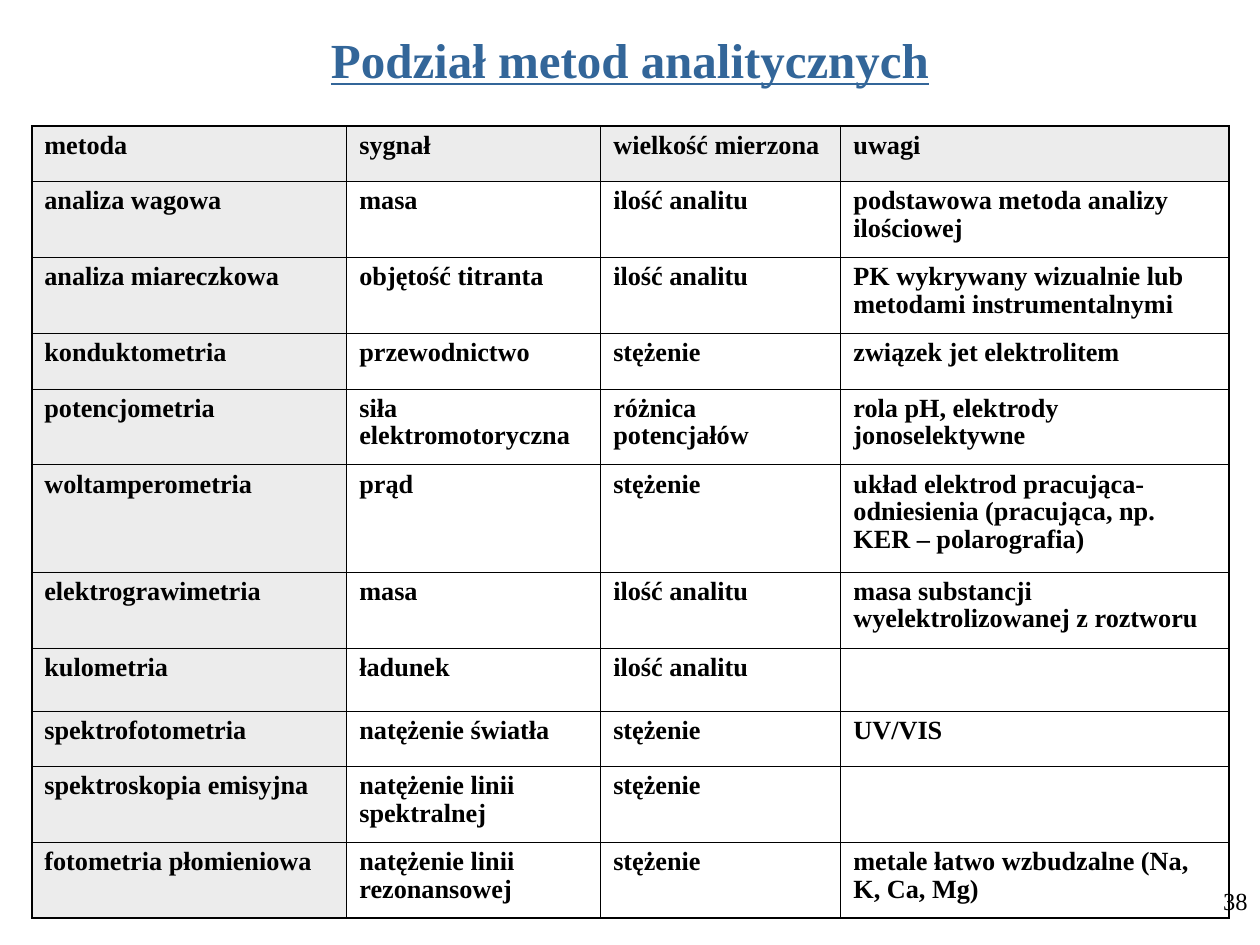
from lxml import etree
from pptx import Presentation
from pptx.dml.color import RGBColor
from pptx.enum.text import MSO_ANCHOR, PP_ALIGN
from pptx.oxml.ns import qn
from pptx.util import Cm, Pt

LEFT, CENTER, RIGHT = PP_ALIGN.LEFT, PP_ALIGN.CENTER, PP_ALIGN.RIGHT
TOP, MIDDLE = MSO_ANCHOR.TOP, MSO_ANCHOR.MIDDLE

COLUMN_WIDTHS = [6.35, 5.12, 4.84, 7.82]
ONE_LINE, TALL_LINE, TWO_LINES, THREE_LINES = 1.12, 1.27, 1.53, 2.16
METHODS = [
    (ONE_LINE, "metoda", "sygnał", "wielkość mierzona", "uwagi"),
    (TWO_LINES, "analiza wagowa", "masa", "ilość analitu",
     "podstawowa metoda analizy ilościowej"),
    (TWO_LINES, "analiza miareczkowa", "objętość titranta", "ilość analitu",
     "PK wykrywany wizualnie lub metodami instrumentalnymi"),
    (ONE_LINE, "konduktometria", "przewodnictwo", "stężenie",
     "związek jet elektrolitem"),
    (TWO_LINES, "potencjometria", "siła elektromotoryczna", "różnica potencjałów",
     "rola pH, elektrody jonoselektywne"),
    (THREE_LINES, "woltamperometria", "prąd", "stężenie",
     "układ elektrod pracująca-odniesienia (pracująca, np. KER – polarografia)"),
    (TWO_LINES, "elektrograwimetria", "masa", "ilość analitu",
     "masa substancji wyelektrolizowanej z roztworu"),
    (TALL_LINE, "kulometria", "ładunek", "ilość analitu", ""),
    (ONE_LINE, "spektrofotometria", "natężenie światła", "stężenie", "UV/VIS"),
    (TWO_LINES, "spektroskopia emisyjna", "natężenie linii spektralnej", "stężenie", ""),
    (TWO_LINES, "fotometria płomieniowa", "natężenie linii rezonansowej", "stężenie",
     "metale łatwo wzbudzalne (Na, K, Ca, Mg)"),
]


def color(value):
    return RGBColor.from_string(value)


class SlideBuilder:
    font_name = "Times New Roman"
    ink = "000000"
    title_color = "336699"
    header_color = "808080"
    header_alpha = 15
    inner_line, outer_line = 0.45, 1.08

    def __init__(self, slide):
        self.slide = slide

    def add_styled_run(self, paragraph, text, size, text_color, bold=False, underline=False):
        run = paragraph.add_run()
        run.text = text
        font = run.font
        font.name = self.font_name
        font.size = Pt(size)
        font.bold = bold
        font.underline = underline
        font.color.rgb = color(text_color)

    def add_text_box(self, left, top, width, height, text, size, text_color,
                     align=LEFT, anchor=TOP, **style):
        box = self.slide.shapes.add_textbox(Cm(left), Cm(top), Cm(width), Cm(height))
        frame = box.text_frame
        frame.word_wrap = True
        frame.vertical_anchor = anchor
        paragraph = frame.paragraphs[0]
        paragraph.alignment = align
        self.add_styled_run(paragraph, text, size, text_color, **style)

    def shade(self, cell):
        """Fill a heading cell with a mostly transparent grey."""
        cell.fill.solid()
        cell.fill.fore_color.rgb = color(self.header_color)
        fill_color = cell._tc.tcPr.find(".//" + qn("a:srgbClr"))
        etree.SubElement(fill_color, qn("a:alpha"), val=str(self.header_alpha * 1000))

    def draw_borders(self, cell, outer_sides):
        """Draw the four edges, heavier where they lie on the table outline."""
        properties = cell._tc.get_or_add_tcPr()
        for index, side in enumerate("LRTB"):
            width = self.outer_line if side in outer_sides else self.inner_line
            line = etree.Element(qn("a:ln" + side), w=str(int(Pt(width))))
            fill = etree.SubElement(line, qn("a:solidFill"))
            etree.SubElement(fill, qn("a:srgbClr"), val=self.ink)
            properties.insert(index, line)

    def add_grid(self, left, top, widths, rows, size):
        heights = [row[0] for row in rows]
        frame = self.slide.shapes.add_table(
            len(rows), len(widths), Cm(left), Cm(top), Cm(sum(widths)), Cm(sum(heights)))
        table = frame.table
        table.first_row = table.horz_banding = False
        for column, width in zip(table.columns, widths):
            column.width = Cm(width)
        last_row, last_column = len(rows) - 1, len(widths) - 1
        for i, (height, *texts) in enumerate(rows):
            table.rows[i].height = Cm(height)
            for j, text in enumerate(texts):
                cell = table.cell(i, j)
                if i == 0 or j == 0:
                    self.shade(cell)
                else:
                    cell.fill.background()
                on_outline = {"L": j == 0, "R": j == last_column,
                              "T": i == 0, "B": i == last_row}
                self.draw_borders(cell, [side for side, outer in on_outline.items() if outer])
                if text:
                    paragraph = cell.text_frame.paragraphs[0]
                    paragraph.line_spacing = 0.95
                    self.add_styled_run(paragraph, text, size, self.ink, bold=True)


def main():
    presentation = Presentation()
    presentation.slide_width, presentation.slide_height = Cm(25.4), Cm(19.05)
    slide = presentation.slides.add_slide(presentation.slide_layouts[6])
    builder = SlideBuilder(slide)
    builder.add_grid(0.64, 2.54, COLUMN_WIDTHS, METHODS, 15)
    builder.add_text_box(1.9, 0.25, 21.6, 1.88, "Podział metod analitycznych", 28,
                         builder.title_color, CENTER, MIDDLE, bold=True, underline=True)
    builder.add_text_box(20.12, 17.73, 5.28, 1.27, "38", 14, builder.ink, RIGHT)
    presentation.save("out.pptx")


if __name__ == "__main__":
    main()
